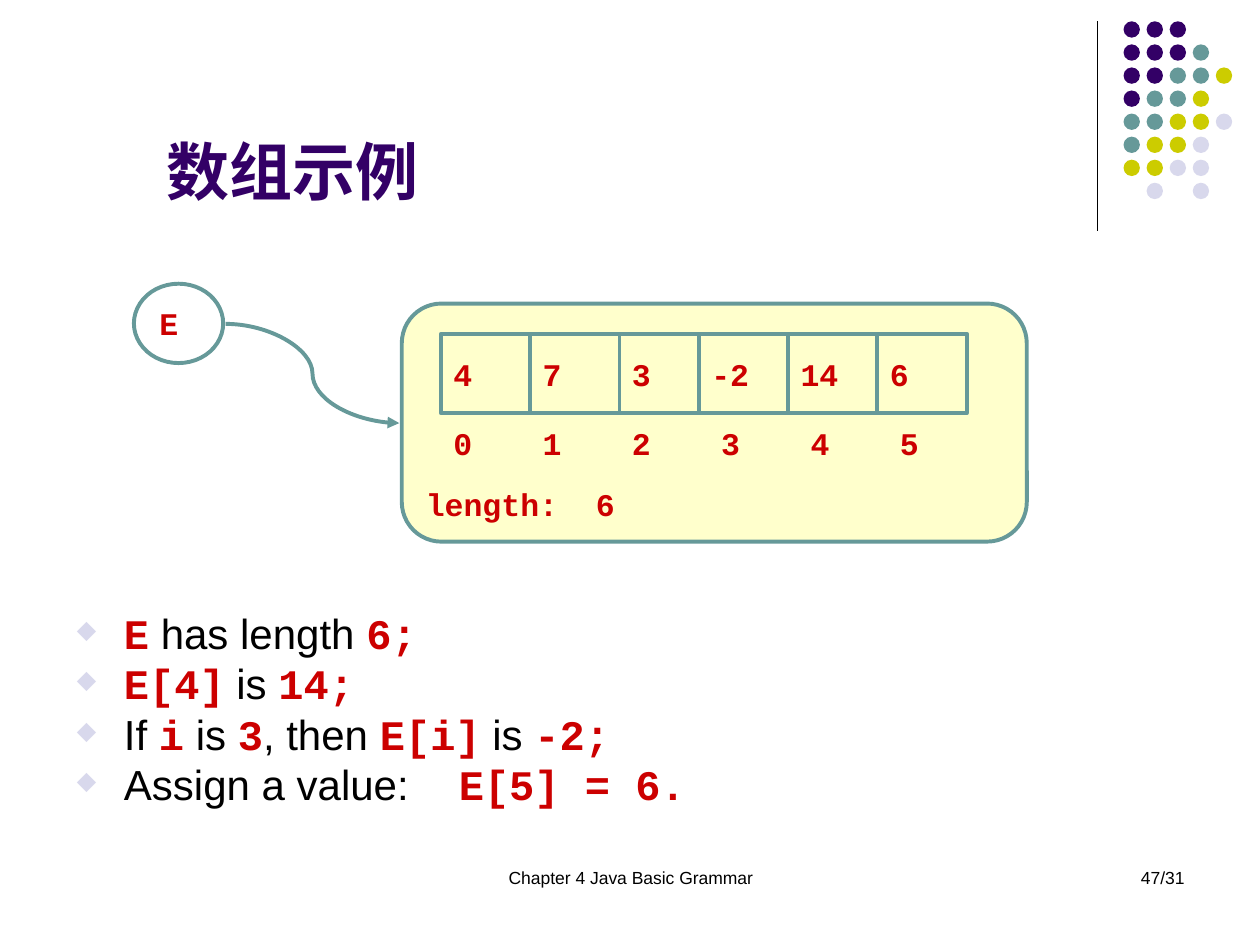
"""Build the array example slide: an array diagram above four bullet facts."""
from lxml import etree
from pptx import Presentation
from pptx import util as u
from pptx.dml import color
from pptx.enum import shapes, text
from pptx.oxml import ns

PLUM, TEAL, OLIVE, MIST = "330066", "669999", "CCCC00", "D8D8EC"
RED, CREAM, BLACK = "CC0000", "FFFFCC", "000000"
FORM = shapes.MSO_SHAPE
MID, TOP, LOW = text.MSO_ANCHOR.MIDDLE, text.MSO_ANCHOR.TOP, text.MSO_ANCHOR.BOTTOM
LEFT, MIDST, RIGHT = text.PP_ALIGN.LEFT, text.PP_ALIGN.CENTER, text.PP_ALIGN.RIGHT


def tint(code):
    return color.RGBColor.from_string(code)


def put(form, area, lines, size, ink=BLACK, bold=False, anchor=MID, align=LEFT):
    """Add a shape, or a text box if form is None; backticks mark code."""
    area = [u.Cm(n) for n in area]
    if form is None:
        item = slide.shapes.add_textbox(*area)
    else:
        item = slide.shapes.add_shape(form, *area)
        item.shadow.inherit = False
        item.fill.background()
        item.line.color.rgb = tint(TEAL)
        item.line.width = u.Pt(2.25)
    frame = item.text_frame
    frame.word_wrap = True
    frame.vertical_anchor = anchor
    plain = {"name": "Arial", "size": u.Pt(size), "bold": bold}
    mono = {"name": "Courier New", "size": u.Pt(size), "bold": True}
    for row, line in enumerate(lines):
        para = frame.add_paragraph() if row else frame.paragraphs[0]
        para.alignment = align
        for spot, part in enumerate(line.split("`")):
            if part:
                run = para.add_run()
                run.text = part
                for key, value in (mono if spot % 2 else plain).items():
                    setattr(run.font, key, value)
                run.font.color.rgb = tint(RED if spot % 2 else ink)
    return item


deck = Presentation()
deck.slide_width, deck.slide_height = u.Cm(25.4), u.Cm(19.05)
slide = deck.slides.add_slide(deck.slide_layouts[6])

rule = (shapes.MSO_CONNECTOR.STRAIGHT, (22.12, 0.43, 22.12, 4.65), BLACK, 0.75)
curve = (shapes.MSO_CONNECTOR.CURVE, (4.55, 6.53, 8.05, 8.53), TEAL, 2.25)
for kind, ends, ink, width in (rule, curve):
    wire = slide.shapes.add_connector(kind, *[u.Cm(n) for n in ends])
    wire.line.color.rgb = tint(ink)
    wire.line.width = u.Pt(width)
    if kind == curve[0]:
        tail = etree.SubElement(wire.line._get_or_add_ln(), ns.qn("a:tailEnd"))
        tail.set("type", "triangle")
    etree.SubElement(wire._element.spPr, ns.qn("a:effectLst"))

inks = {"P": PLUM, "T": TEAL, "O": OLIVE, "M": MIST}
dots = ["PPP", "PPPT", "PPTTO", "PTTO", "TTOOM", "TOOM", "OOMM", " M M"]
for row, line in enumerate(dots):
    for col, mark in enumerate(line):
        if mark in inks:
            spot = (22.65 + col * 0.465, 0.43 + row * 0.465, 0.33, 0.33)
            dot = slide.shapes.add_shape(FORM.OVAL, *[u.Cm(n) for n in spot])
            dot.shadow.inherit = False
            dot.fill.solid()
            dot.fill.fore_color.rgb = tint(inks[mark])
            dot.line.fill.background()

put(None, (8.69, 17.35, 8.05, 1.27), ["Chapter 4 Java Basic Grammar"], 10,
    anchor=TOP, align=MIDST)
put(None, (18.21, 17.35, 5.92, 1.27), ["47/31"], 10, anchor=TOP, align=RIGHT)
put(None, (3.1, 2.13, 18.72, 2.59), ["数组示例"], 36, PLUM, True)

facts = ["`E` has length `6;`", "`E[4]` is `14;`",
         "If `i` is `3`, then `E[i]` is `-2;`", "Assign a value:\t`E[5] = 6.`"]
notes = put(None, (1.3, 12.12, 22.86, 6.07), facts, 24, anchor=TOP)
put(FORM.OVAL, (2.7, 5.72, 1.8, 1.6), ["`E`"], 18)
body = put(FORM.ROUNDED_RECTANGLE, (8.1, 6.12, 12.6, 4.8), ["`length:\t6`"], 18,
           anchor=LOW)
body.fill.solid()
body.fill.fore_color.rgb = tint(CREAM)
body.text_frame.margin_bottom = u.Cm(0.15)

for para in notes.text_frame.paragraphs:
    props = para._p.get_or_add_pPr()
    props.set("marL", str(u.Cm(0.95)))
    props.set("indent", str(-u.Cm(0.95)))
    hue = etree.SubElement(props, ns.qn("a:buClr"))
    etree.SubElement(hue, ns.qn("a:srgbClr")).set("val", MIST)
    etree.SubElement(props, ns.qn("a:buSzPct")).set("val", "60000")
    etree.SubElement(props, ns.qn("a:buChar")).set("char", "◆")
for para, stop in ((notes.text_frame.paragraphs[-1], 7.7),
                   (body.text_frame.paragraphs[0], 3.43)):
    tabs = etree.SubElement(para._p.get_or_add_pPr(), ns.qn("a:tabLst"))
    tab = etree.SubElement(tabs, ns.qn("a:tab"))
    tab.set("pos", str(u.Cm(stop)))
    tab.set("algn", "l")

left = 8.89
for rank, value in enumerate([4, 7, 3, -2, 14, 6]):
    wide = 1.6 if rank == 2 else 1.8
    put(FORM.RECTANGLE, (left, 6.73, wide, 1.6), [f"`{value}`"], 18)
    put(None, (8.89 + rank * 1.8, 8.33, 1.8, 1.2), [f"`{rank}`"], 18)
    left += wide

deck.save("out.pptx")
